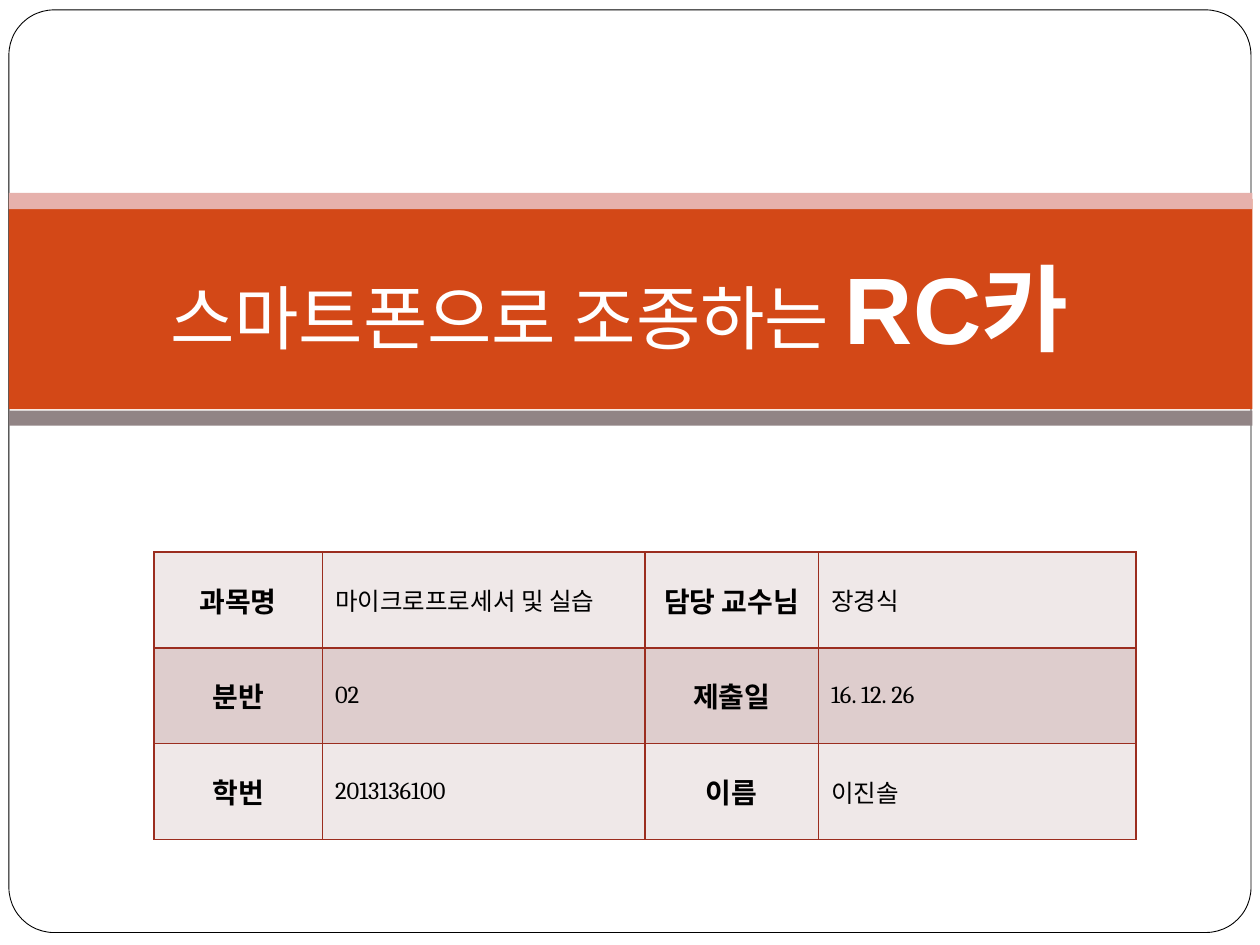
from typing import NamedTuple

from lxml.etree import SubElement
from pptx import Presentation
from pptx.dml.color import RGBColor
from pptx.enum.shapes import MSO_SHAPE
from pptx.enum.text import MSO_ANCHOR, MSO_AUTO_SIZE, PP_ALIGN
from pptx.oxml.ns import qn
from pptx.util import Cm, Pt


class Band(NamedTuple):
    top: float
    height: float
    color: str


class Run(NamedTuple):
    text: str
    size: int
    bold: bool


BANDS = [
    Band(4.01, 4.24, "D34817"),
    Band(3.89, 0.33, "E6B1AC"),
    Band(8.28, 0.3, "918485"),
]
TITLE = [Run("스마트폰으로 조종하는 ", 40, False), Run("RC카 ", 54, True)]
COLS = [3.4, 6.5, 3.5, 6.4]
ROW_H = 1.93
ROWS = [
    ("과목명", "마이크로프로세서 및 실습", "담당 교수님", "장경식"),
    ("분반", "02", "제출일", "16. 12. 26"),
    ("학번", "2013136100", "이름", "이진솔"),
]
ROW_FILLS = ["EFE8E8", "DECDCD"]


def rgb(value: str) -> RGBColor:
    """Turn a hex string into a colour."""
    return RGBColor.from_string(value)


def apply(obj, formats: dict) -> None:
    """Set every attribute named in the format values."""
    for name, value in formats.items():
        setattr(obj, name, value)


def paint(obj, color: str) -> None:
    """Give a shape or cell a solid fill."""
    obj.fill.solid()
    obj.fill.fore_color.rgb = rgb(color)


def add_run(p, run: Run, font: str, color: str) -> None:
    """Append a formatted run to a paragraph."""
    r = p.add_run()
    r.text = run.text
    apply(r.font, {"name": font, "size": Pt(run.size), "bold": run.bold})
    r.font.color.rgb = rgb(color)


def add_frame(s) -> None:
    """Draw the rounded page frame."""
    sp = s.shapes.add_shape(MSO_SHAPE.ROUNDED_RECTANGLE, Cm(0.18), Cm(0.2), Cm(25.04), Cm(18.6))
    sp.adjustments[0] = 0.049
    sp.shadow.inherit = False
    paint(sp, "FFFFFF")
    sp.line.color.rgb = rgb("000000")
    sp.line.width = Pt(0.5)


def add_band(s, band: Band) -> None:
    """Draw one horizontal band behind the title."""
    sp = s.shapes.add_shape(MSO_SHAPE.RECTANGLE, Cm(0.18), Cm(band.top), Cm(25.07), Cm(band.height))
    sp.shadow.inherit = False
    paint(sp, band.color)
    sp.line.fill.background()


def set_title(s) -> None:
    """Place the title in front of the bands and write its runs."""
    sp = s.shapes.title
    s.shapes._spTree.append(sp._element)
    apply(sp, {"left": Cm(1.27), "top": Cm(4.19), "width": Cm(22.86), "height": Cm(4.09)})
    tf = sp.text_frame
    apply(tf, {
        "word_wrap": True, "auto_size": MSO_AUTO_SIZE.NONE,
        "vertical_anchor": MSO_ANCHOR.MIDDLE, "margin_left": Cm(0.25),
        "margin_right": Cm(0.25), "margin_top": Cm(0.13), "margin_bottom": Cm(0.25),
    })
    p = tf.paragraphs[0]
    p.alignment = PP_ALIGN.CENTER
    for run in TITLE:
        add_run(p, run, "Arial", "FFFFFF")


def set_borders(cell, color: str) -> None:
    """Draw a one-point line on all four sides of a cell."""
    tc_pr = cell._tc.get_or_add_tcPr()
    for i, side in enumerate(("a:lnL", "a:lnR", "a:lnT", "a:lnB")):
        ln = SubElement(tc_pr, qn(side), w=str(Pt(1)))
        tc_pr.insert(i, ln)
        SubElement(SubElement(ln, qn("a:solidFill")), qn("a:srgbClr"), val=color)


def add_info_table(s) -> None:
    """Build the table of label and value pairs."""
    table = s.shapes.add_table(
        len(ROWS), len(COLS), Cm(3.1), Cm(11.13), Cm(sum(COLS)), Cm(ROW_H * len(ROWS))
    ).table
    apply(table, {"first_row": False, "horz_banding": False})
    for col, width in zip(table.columns, COLS):
        col.width = Cm(width)
    for i, texts in enumerate(ROWS):
        table.rows[i].height = Cm(ROW_H)
        for j, text in enumerate(texts):
            cell = table.cell(i, j)
            is_label = j % 2 == 0
            cell.vertical_anchor = MSO_ANCHOR.MIDDLE
            paint(cell, ROW_FILLS[i % 2])
            set_borders(cell, "9B2D1F")
            p = cell.text_frame.paragraphs[0]
            p.alignment = PP_ALIGN.CENTER if is_label else PP_ALIGN.LEFT
            add_run(p, Run(text, 16 if is_label else 14, is_label), "Cambria", "000000")


def main() -> None:
    """Build and save the cover slide."""
    prs = Presentation()
    apply(prs, {"slide_width": Cm(25.4), "slide_height": Cm(19.05)})
    s = prs.slides.add_slide(prs.slide_layouts[5])
    add_frame(s)
    for band in BANDS:
        add_band(s, band)
    set_title(s)
    add_info_table(s)
    prs.save("out.pptx")


main()
